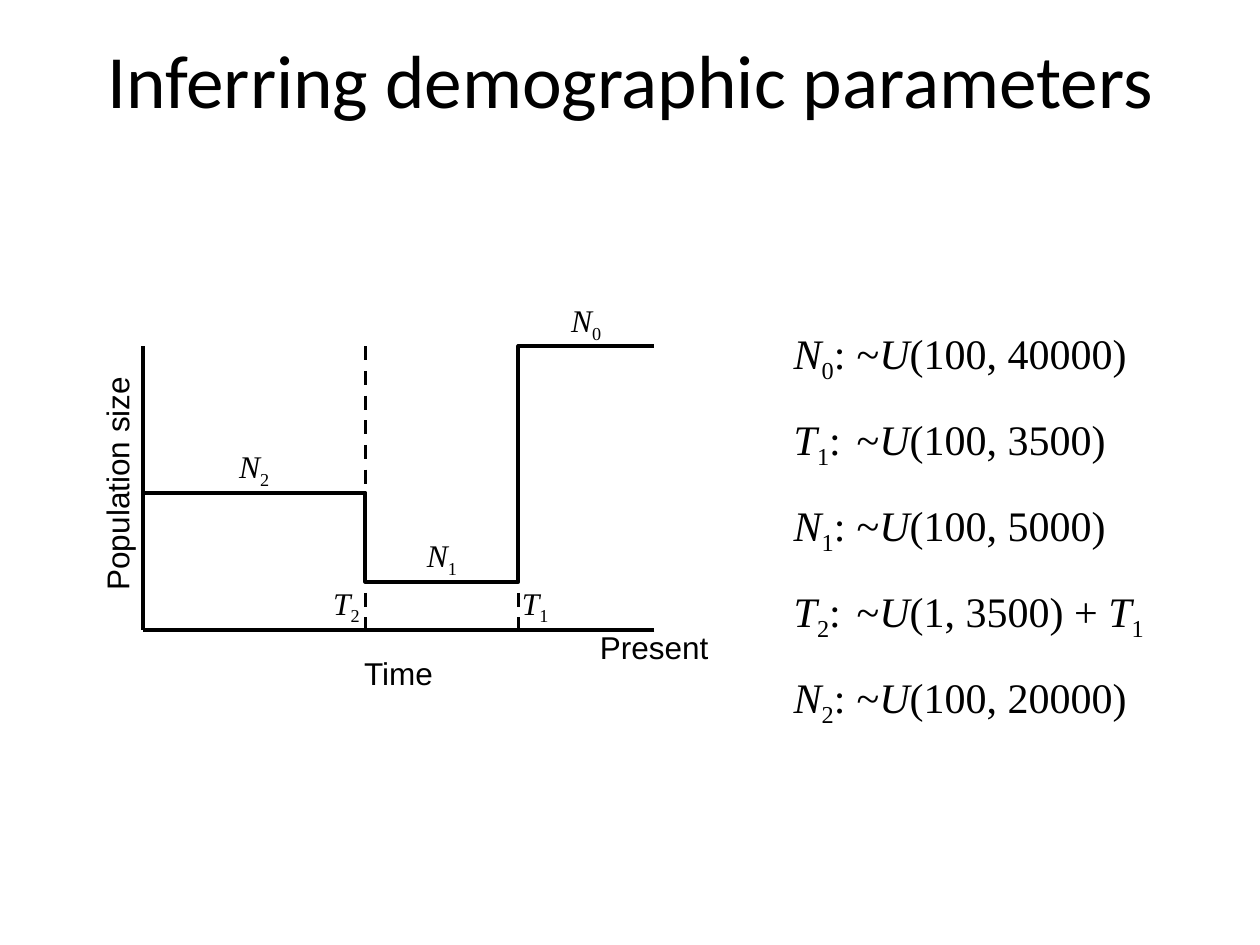
from lxml import etree
from pptx import Presentation
from pptx.dml.color import RGBColor
from pptx.enum.dml import MSO_LINE
from pptx.enum.shapes import MSO_CONNECTOR
from pptx.enum.text import MSO_ANCHOR, PP_ALIGN
from pptx.oxml.ns import qn
from pptx.util import Cm, Pt

BLACK = "000000"
SANS, SERIF, HEADING = "Arial", "Times New Roman", "Calibri"
LABEL_HEIGHT = 1.02


def color(hex_code):
    return RGBColor.from_string(hex_code)


def variable(name):
    """Italic letter followed by its subscript index."""
    return [(name[0], "italic"), (name[1:], "subscript")]


def add_text(slide, box, paragraphs, font=SANS, size=18, align=PP_ALIGN.LEFT,
             anchor=MSO_ANCHOR.TOP, rotation=0, line_spacing=None, tab=None):
    """Each paragraph is a list of (text, style) runs."""
    shape = slide.shapes.add_textbox(*(Cm(value) for value in box))
    shape.rotation = rotation
    frame = shape.text_frame
    frame.word_wrap = True
    frame.vertical_anchor = anchor
    for index, runs in enumerate(paragraphs):
        paragraph = frame.add_paragraph() if index else frame.paragraphs[0]
        paragraph.alignment = align
        if line_spacing:
            paragraph.line_spacing = line_spacing
        if tab:
            tabs = etree.SubElement(paragraph._p.get_or_add_pPr(), qn("a:tabLst"))
            etree.SubElement(tabs, qn("a:tab"), pos=str(Cm(tab)), algn="l")
        for text, style in runs:
            run = paragraph.add_run()
            run.text = text
            run.font.name = font
            run.font.size = Pt(size)
            run.font.color.rgb = color(BLACK)
            run.font.italic = style == "italic"
            if style == "subscript":
                run.font._element.set("baseline", "-25000")
    return shape


def add_line(slide, start, end, width, dashed=False, bend_x=None):
    """Straight line, or an elbow that turns at bend_x."""
    kind = MSO_CONNECTOR.STRAIGHT if bend_x is None else MSO_CONNECTOR.ELBOW
    line = slide.shapes.add_connector(kind, *(Cm(value) for value in start + end))
    line.line.color.rgb = color(BLACK)
    line.line.width = Pt(width)
    if dashed:
        line.line.dash_style = MSO_LINE.DASH
    properties = line._element.spPr
    etree.SubElement(properties, qn("a:effectLst"))
    if bend_x is not None:
        share = round((bend_x - start[0]) / (end[0] - start[0]) * 100000)
        guides = properties.find(qn("a:prstGeom")).get_or_add_avLst()
        etree.SubElement(guides, qn("a:gd"), name="adj1", fmla=f"val {share}")
    return line


def add_title(slide, box):
    add_text(slide, box, [[("Inferring demographic parameters", "")]], font=HEADING,
             size=43, align=PP_ALIGN.CENTER, anchor=MSO_ANCHOR.MIDDLE)


def add_population_diagram(slide, left, top, width, height):
    right, bottom = left + width, top + height
    time_2, time_1 = left + 4.49, left + 7.57
    level_2, level_1, level_0 = top + 2.95, top + 4.75, top

    # Axes
    add_line(slide, (right, bottom), (left, bottom), 2.5)
    add_line(slide, (left, top), (left, bottom), 2.5)
    axis_labels = [
        ("Population size", left - 3.3, top + 2.26, 5.56, 270),
        ("Time", left, bottom + 0.36, width, 0),
        ("Present", left + width / 2, bottom - 0.17, width, 0),
    ]
    for text, x, y, label_width, rotation in axis_labels:
        add_text(slide, (x, y, label_width, LABEL_HEIGHT), [[(text, "")]],
                 align=PP_ALIGN.CENTER, rotation=rotation)

    # Population size steps
    add_line(slide, (left, level_2), (left + 5.82, level_1), 2.25, bend_x=time_2)
    add_line(slide, (left + 4.85, level_1), (right, level_0), 2.25, bend_x=time_1)

    # Size labels, centred above each step
    for name, start, end, level in [("N2", left, time_2, level_2),
                                    ("N1", time_2, time_1, level_1),
                                    ("N0", time_1, right, level_0)]:
        add_text(slide, (start, level - 1.04, end - start, LABEL_HEIGHT),
                 [variable(name)], font=SERIF, align=PP_ALIGN.CENTER)

    # Change times
    for x in (time_2, time_1):
        add_line(slide, (x, top), (x, bottom), 2, dashed=True)
    time_width = 4.14
    for name, x, align in [("T1", time_1 - 0.18, PP_ALIGN.LEFT),
                           ("T2", time_2 + 0.13 - time_width, PP_ALIGN.RIGHT)]:
        add_text(slide, (x, bottom - 1.06, time_width, LABEL_HEIGHT),
                 [variable(name)], font=SERIF, align=align)


def add_priors(slide, box):
    priors = [("N0", "(100, 40000)", []),
              ("T1", "(100, 3500)", []),
              ("N1", "(100, 5000)", []),
              ("T2", "(1, 3500) + ", variable("T1")),
              ("N2", "(100, 20000)", [])]
    paragraphs = [variable(name) + [(":\t~", ""), ("U", "italic"), (limits, "")] + offset
                  for name, limits, offset in priors]
    add_text(slide, box, paragraphs, font=SERIF, size=24, line_spacing=1.5, tab=1.27)


def main():
    presentation = Presentation()
    presentation.slide_width, presentation.slide_height = Cm(25.4), Cm(19.05)
    slide = presentation.slides.add_slide(presentation.slide_layouts[6])
    add_population_diagram(slide, 2.88, 6.98, 10.31, 5.72)
    add_title(slide, (0, 0, 25.4, 3.18))
    add_priors(slide, (15.75, 5.89, 8.1, 8.97))
    presentation.save("out.pptx")


if __name__ == "__main__":
    main()
